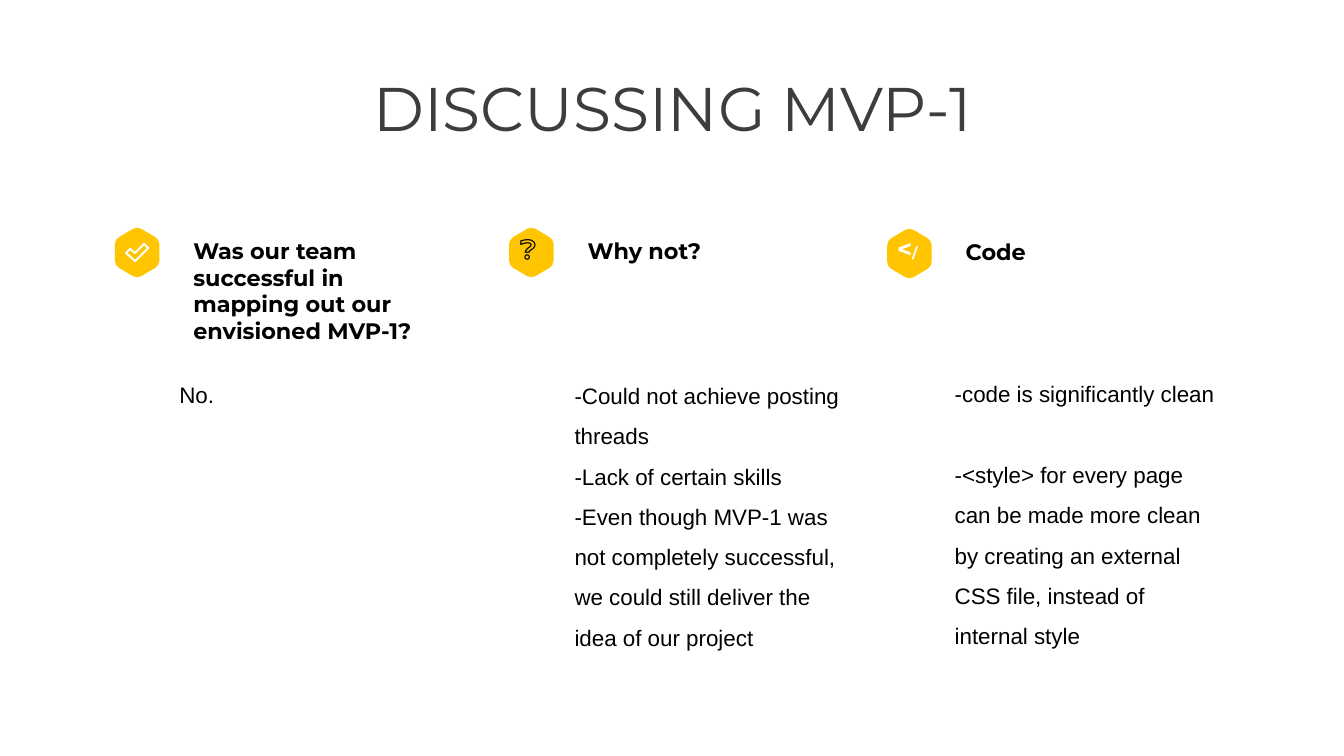
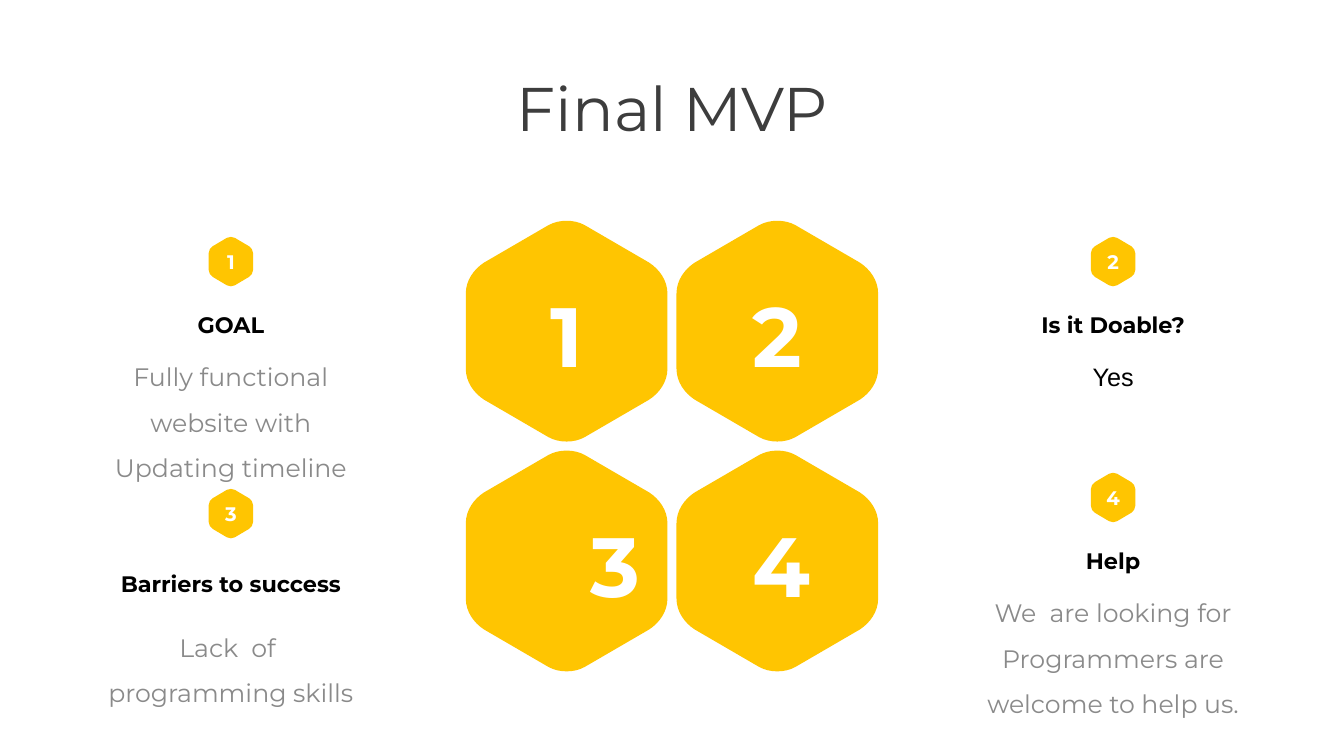
from lxml import etree
from pptx import Presentation
from pptx.dml.color import RGBColor
from pptx.enum.text import MSO_ANCHOR, MSO_AUTO_SIZE, PP_ALIGN
from pptx.oxml.ns import qn
from pptx.util import Inches, Pt

YELLOW = RGBColor(0xFF, 0xC5, 0x01)
WHITE = RGBColor(0xFF, 0xFF, 0xFF)
BLACK = RGBColor(0, 0, 0)
DARK = RGBColor(0x3D, 0x3D, 0x3D)
GREY = RGBColor(0x8A, 0x8A, 0x8A)
HEAD_FONT, BODY_FONT = "Montserrat", "Arial"
LEFT, CENTER = PP_ALIGN.LEFT, PP_ALIGN.CENTER
TOP, MIDDLE = MSO_ANCHOR.TOP, MSO_ANCHOR.MIDDLE
NO_FIT = MSO_AUTO_SIZE.NONE

BADGE_W, BADGE_H = 0.44, 0.49
COLUMN_W = 2.74

# Rounded hexagon in shares of its box: each step is control points, then the end.
# One control point gives a quadratic curve, two a cubic, none a line.
UPPER_HALF = (
    ((0, 0.33),),
    ((0, 0.27), (0.04, 0.22), (0.09, 0.19)),
    ((0.41, 0.02),),
    ((0.45, 0), (0.5, 0)),
    ((0.55, 0), (0.59, 0.02)),
    ((0.91, 0.19),),
    ((0.96, 0.22), (1, 0.27), (1, 0.33)),
)
LOWER_HALF = tuple(tuple((1 - u, 1 - v) for u, v in step) for step in UPPER_HALF)
HEXAGON = UPPER_HALF + LOWER_HALF
CURVE_TAGS = {2: qn("a:quadBezTo"), 3: qn("a:cubicBezTo")}


def write(tf, text, font=HEAD_FONT, size=16, color=BLACK, bold=False,
          align=LEFT, anchor=TOP, spacing=1.0, gap=0, left=0.1, top=0.05):
    """Fill a text frame; text is a string or a list of paragraphs.

    A paragraph may be a list of (text, size) runs.
    """
    tf.word_wrap, tf.auto_size, tf.vertical_anchor = True, NO_FIT, anchor
    tf.margin_left, tf.margin_right = Inches(left), Inches(0.1)
    tf.margin_top, tf.margin_bottom = Inches(top), Inches(0.05)
    for i, runs in enumerate([text] if isinstance(text, str) else text):
        p = tf.add_paragraph() if i else tf.paragraphs[0]
        p.alignment, p.line_spacing = align, spacing
        p.space_before = Pt(gap if i else 0)
        for words, run_size in [(runs, size)] if isinstance(runs, str) else runs:
            r = p.add_run()
            r.text = words
            f = r.font
            f.name, f.size, f.bold = font, Pt(run_size), bold
            f.color.rgb = color


def add_text(s, x, y, w, h, text, **fmt):
    box = s.shapes.add_textbox(Inches(x), Inches(y), Inches(w), Inches(h))
    write(box.text_frame, text, **fmt)


def add_outline(s, points):
    pts = [(Inches(x), Inches(y)) for x, y in points]
    builder = s.shapes.build_freeform(*pts[0], scale=1.0)
    builder.add_line_segments(pts[1:], close=True)
    sp = builder.convert_to_shape()
    sp.shadow.inherit = False
    return sp


def add_hexagon(s, x, y, w=BADGE_W, h=BADGE_H, text=None, **fmt):
    ends = [step[-1] for step in HEXAGON]
    sp = add_outline(s, [(x + w * u, y + h * v) for u, v in ends[-1:] + ends])
    # Turn the corner segments into curves
    for segment, step in zip(list(sp.element.iter(qn("a:lnTo"))), HEXAGON):
        if len(step) > 1:
            segment.tag = CURVE_TAGS[len(step)]
            for i, (u, v) in enumerate(step[:-1]):
                pt = etree.Element(qn("a:pt"), x=str(Inches(w * u)),
                                   y=str(Inches(h * v)))
                segment.insert(i, pt)
    sp.fill.solid()
    sp.fill.fore_color.rgb = YELLOW
    sp.line.fill.background()
    if text:
        write(sp.text_frame, text, **fmt)


def add_check(s, x, y):
    """Hollow white tick inside a badge placed at x, y."""
    tick = ((0.29, 0.16), (0.33, 0.2), (0.2, 0.33),
            (0.11, 0.25), (0.15, 0.21), (0.2, 0.25))
    sp = add_outline(s, [(x + dx, y + dy) for dx, dy in tick])
    sp.fill.background()
    sp.line.color.rgb = WHITE
    sp.line.width = Pt(1.4)


def add_titled_slide(prs, title):
    s = prs.slides.add_slide(prs.slide_layouts[5])
    sp = s.shapes.title
    sp.left, sp.top = Inches(0.92), Inches(0.64)
    sp.width, sp.height = Inches(11.5), Inches(0.84)
    write(sp.text_frame, title, size=44, color=DARK, align=CENTER)
    return s


def add_question(s, x, y, heading, body, body_x, body_y, body_w=COLUMN_W,
                 gap=0, icon=None, icon_color=WHITE, icon_bold=False):
    """Column with a badge, a heading beside it and an answer below."""
    add_hexagon(s, x, y, text=icon, size=18, color=icon_color, bold=icon_bold)
    if icon is None:
        add_check(s, x, y)
    add_text(s, x + 0.68, y + 0.04, COLUMN_W, 1.2, heading, bold=True)
    add_text(s, body_x, body_y, body_w, 3.3, body, font=BODY_FONT,
             spacing=1.5, gap=gap)


def add_topic(s, x, y, number, heading, body, head_dy=0.69, body_dy=1.04,
              **body_fmt):
    """Centred column: numbered badge, heading and text."""
    add_hexagon(s, x + (COLUMN_W - BADGE_W) / 2, y, text=number, size=14,
                color=WHITE, bold=True, align=CENTER, anchor=MIDDLE)
    add_text(s, x, y + head_dy, COLUMN_W, 0.37, heading, bold=True, align=CENTER)
    fmt = {"color": GREY, **body_fmt}
    add_text(s, x, y + body_dy, COLUMN_W, 1.2, body, size=18, align=CENTER,
             spacing=1.5, **fmt)


def add_number_grid(s, x, y):
    """Two by two large numbered hexagons; left insets place the digits."""
    w, h, gap = 2.0, 2.19, 0.09
    digit_insets = (0.1, 0.1, 1.06, 0.18)
    for i, inset in enumerate(digit_insets):
        row, col = divmod(i, 2)
        add_hexagon(s, x + col * (w + gap), y + row * (h + gap), w, h,
                    text=str(i + 1), size=60, color=WHITE, bold=True,
                    align=CENTER, anchor=MIDDLE, left=inset, top=0.11)


def build_discussion(prs):
    s = add_titled_slide(prs, "DISCUSSING MVP-1")
    add_question(
        s, 1.14, 2.26,
        "Was our team successful in mapping out our envisioned MVP-1?",
        "No.", 1.68, 3.6)
    add_question(
        s, 5.05, 2.26, "Why not?",
        ["-Could not achieve posting threads",
         "-Lack of certain skills",
         "-Even though MVP-1 was not completely successful, "
         "we could still deliver the idea of our project"],
        5.6, 3.61, body_w=2.87, icon="❔", icon_color=BLACK)
    add_question(
        s, 8.8, 2.27, "Code",
        ["-code is significantly clean",
         "-<style> for every page can be made more clean by creating "
         "an external CSS file, instead of internal style"],
        9.37, 3.59, body_w=2.85, gap=29,
        icon=[[("<", 18), ("/", 10)]], icon_bold=True)


def build_final(prs):
    s = add_titled_slide(prs, "Final MVP")
    left_x, right_x = 0.92, 9.67
    add_topic(s, left_x, 2.35, "1", "GOAL",
              "Fully functional website with Updating timeline")
    add_topic(s, right_x, 2.35, "2", "Is it Doable?", "Yes",
              font=BODY_FONT, color=BLACK)
    add_topic(s, left_x, 4.85, "3", "Barriers to success",
              "Lack  of  programming skills", head_dy=0.76, body_dy=1.22)
    add_topic(s, right_x, 4.69, "4", "Help",
              "We  are looking for Programmers are welcome to help us.")
    add_number_grid(s, 4.62, 2.19)


def main():
    prs = Presentation()
    prs.slide_width, prs.slide_height = Inches(13.33), Inches(7.5)
    build_discussion(prs)
    build_final(prs)
    prs.save("out.pptx")


if __name__ == "__main__":
    main()
